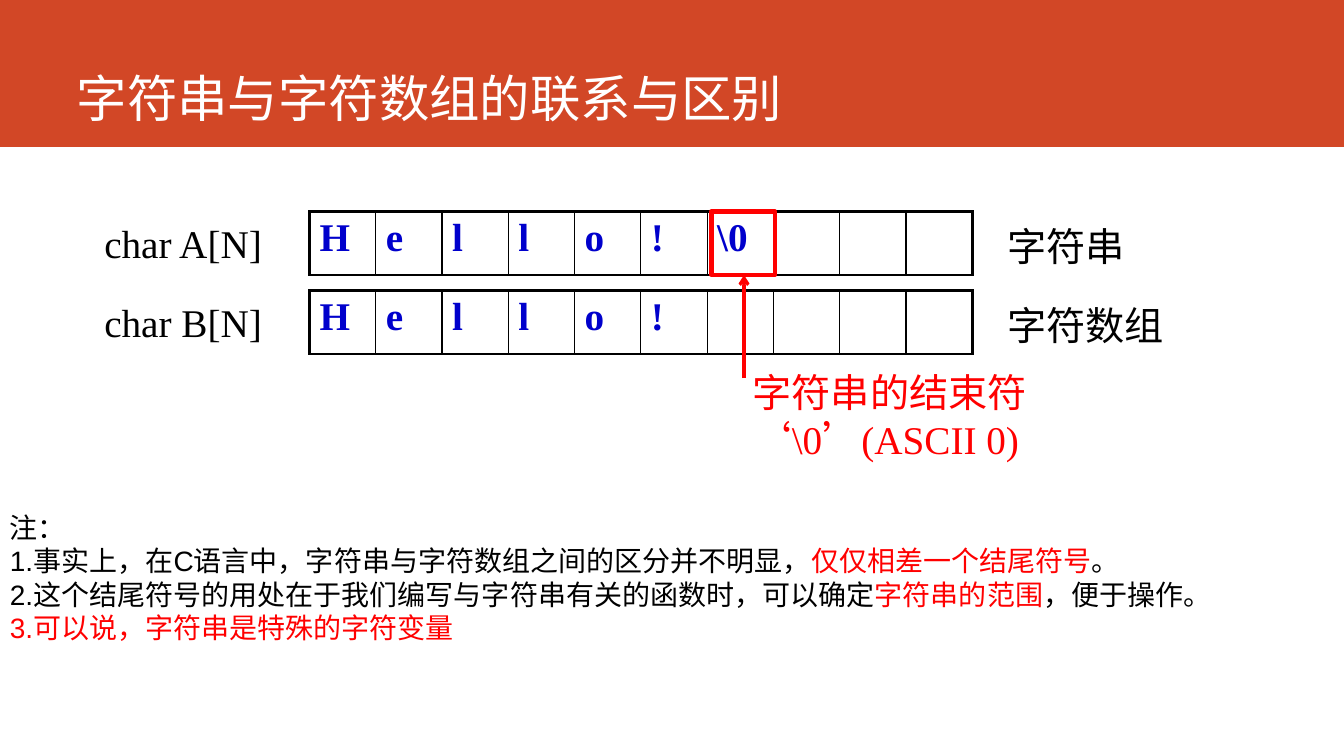
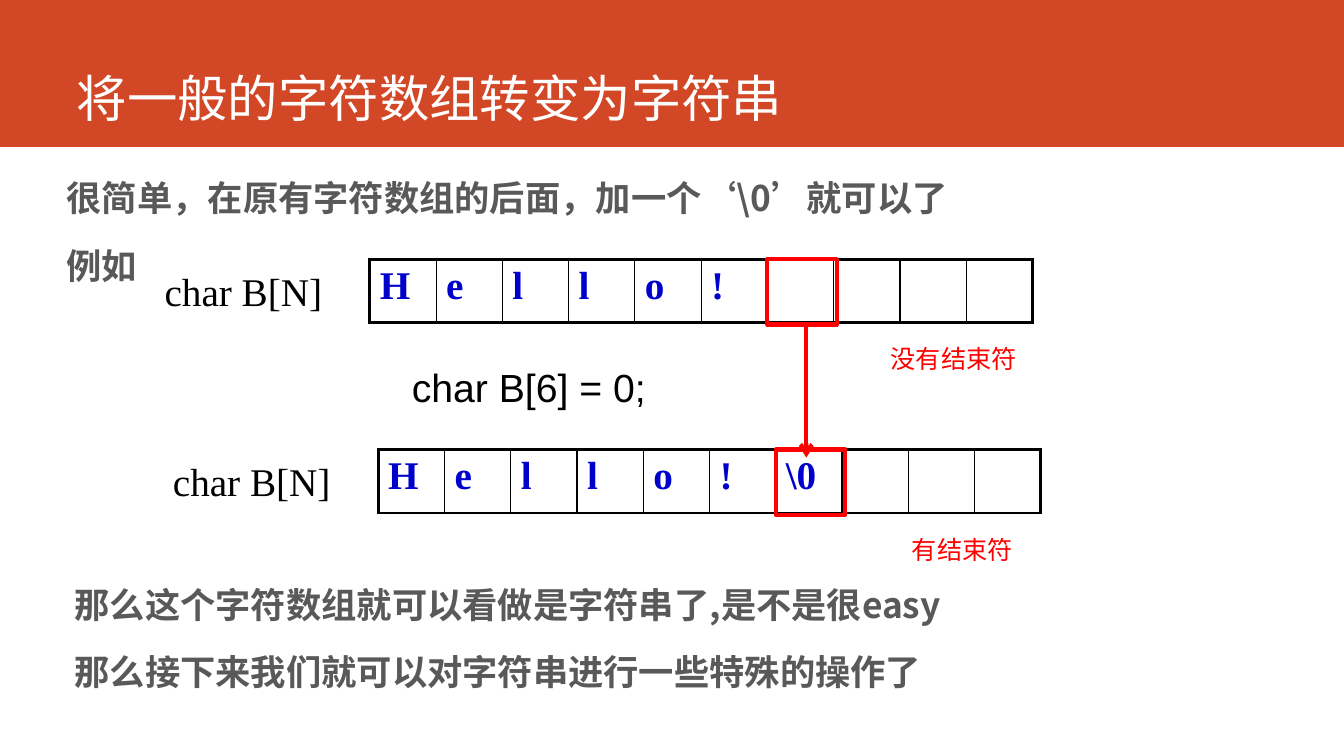
"""Build two slides on strings and character arrays."""
from dataclasses import dataclass

from lxml import etree
from pptx import Presentation
from pptx.dml.color import RGBColor
from pptx.enum.shapes import MSO_CONNECTOR, MSO_SHAPE
from pptx.enum.text import MSO_ANCHOR, PP_ALIGN
from pptx.oxml.ns import qn
from pptx.util import Cm, Pt

RECTANGLE = MSO_SHAPE.RECTANGLE
STRAIGHT = MSO_CONNECTOR.STRAIGHT
TOP, MIDDLE, BOTTOM = MSO_ANCHOR.TOP, MSO_ANCHOR.MIDDLE, MSO_ANCHOR.BOTTOM
LEFT = PP_ALIGN.LEFT


@dataclass(frozen=True)
class Theme:
    """Colours, fonts, type sizes and line widths of the deck."""

    band: str = "D24726"
    white: str = "FFFFFF"
    black: str = "000000"
    red: str = "FF0000"
    blue: str = "0000CC"
    grey: str = "595959"
    cjk: str = "Noto Sans CJK SC"
    sans: str = "Arial"
    serif: str = "Times New Roman"
    title: float = 36
    label: float = 28
    body: float = 25.2
    note: float = 20
    caption: float = 18
    thin: float = 1
    frame: float = 2.25
    mark: float = 3


THEME = Theme()
SLIDE_WIDTH, SLIDE_HEIGHT = 33.87, 19.05
CELL_COUNT, CELL_WIDTH, CELL_HEIGHT = 10, 1.67, 1.6


def rgb(colour):
    """Turn a hex string into a colour."""
    return RGBColor.from_string(colour)


def write(frame, paragraphs, *, size=THEME.label, font=THEME.serif, colour=THEME.black,
          bold=False, line_spacing=None, before=None, after=None):
    """Fill a text frame with paragraphs, each a list of texts or (text, colour) pairs."""
    for index, parts in enumerate(paragraphs):
        paragraph = frame.paragraphs[0] if index == 0 else frame.add_paragraph()
        paragraph.alignment = LEFT
        paragraph.line_spacing = line_spacing
        paragraph.space_before = before
        paragraph.space_after = after
        for part in parts:
            text, tint = (part, colour) if isinstance(part, str) else part
            for line_index, line in enumerate(text.split("\v")):
                if line_index:
                    paragraph.add_line_break()
                run = paragraph.add_run()
                run.text = line
                run.font.size = Pt(size)
                run.font.name = font
                run.font.bold = bold
                run.font.color.rgb = rgb(tint)
                east_asian = etree.SubElement(run.font._element, qn("a:ea"))
                east_asian.set("typeface", THEME.cjk)


def add_text(slide, left, top, width, height, paragraphs, *, anchor=TOP, inset=None, **style):
    """Add a wrapped text box."""
    frame = slide.shapes.add_textbox(Cm(left), Cm(top), Cm(width), Cm(height)).text_frame
    frame.word_wrap = True
    frame.vertical_anchor = anchor
    if inset is not None:
        frame.margin_left = frame.margin_right = Cm(inset)
        frame.margin_top = frame.margin_bottom = Cm(inset)
    write(frame, paragraphs, **style)


def add_label(slide, left, top, text, *, width=4.72, **style):
    """Add a one-line label centred on its height."""
    add_text(slide, left, top, width, 1.45, [[text]], anchor=MIDDLE, **style)


def add_rectangle(slide, left, top, width, height, *, fill=None, line=None):
    """Add a plain rectangle with an optional fill and outline."""
    rectangle = slide.shapes.add_shape(RECTANGLE, Cm(left), Cm(top), Cm(width), Cm(height))
    rectangle.shadow.inherit = False
    if fill:
        rectangle.fill.solid()
        rectangle.fill.fore_color.rgb = rgb(fill)
    else:
        rectangle.fill.background()
    if line:
        rectangle.line.color.rgb = rgb(line)
        rectangle.line.width = Pt(THEME.mark)
    else:
        rectangle.line.fill.background()
    return rectangle


def add_arrow(slide, x, start, end, width):
    """Add a vertical red arrow."""
    arrow = slide.shapes.add_connector(STRAIGHT, Cm(x), Cm(start), Cm(x), Cm(end))
    arrow.line.color.rgb = rgb(THEME.red)
    arrow.line.width = Pt(width)
    etree.SubElement(arrow.line._get_or_add_ln(), qn("a:tailEnd")).set("type", "arrow")
    etree.SubElement(arrow._element.spPr, qn("a:effectLst"))


def add_border(cell, side, width):
    """Add one solid black border to a cell."""
    border = etree.SubElement(cell._tc.get_or_add_tcPr(), qn(f"a:ln{side}"))
    border.set("w", str(Pt(width)))
    fill = etree.SubElement(border, qn("a:solidFill"))
    etree.SubElement(fill, qn("a:srgbClr")).set("val", THEME.black)


def add_array(slide, left, top, name, letters):
    """Add a named array with one character in each cell."""
    add_label(slide, left - 5.42, top + 0.07, name)
    table = slide.shapes.add_table(1, CELL_COUNT, Cm(left), Cm(top),
                                   Cm(CELL_COUNT * CELL_WIDTH), Cm(CELL_HEIGHT)).table
    table.first_row = table.horz_banding = False
    for column, cell in enumerate(table.rows[0].cells):
        table.columns[column].width = Cm(CELL_WIDTH)
        add_border(cell, "L", THEME.frame if column == 0 else THEME.thin)
        add_border(cell, "R", THEME.frame if column == CELL_COUNT - 1 else THEME.thin)
        add_border(cell, "T", THEME.frame)
        add_border(cell, "B", THEME.frame)
        cell.fill.background()
        if column < len(letters):
            write(cell.text_frame, [[letters[column]]], colour=THEME.blue, bold=True)


def add_titled_slide(deck, layout, title):
    """Add a slide and format its title."""
    slide = deck.slides.add_slide(layout)
    heading = slide.shapes.title
    heading.left, heading.top, heading.width, heading.height = Cm(1.68), Cm(0), Cm(29.87), Cm(3.35)
    heading.text_frame.vertical_anchor = BOTTOM
    write(heading.text_frame, [[title]], size=THEME.title, font=THEME.cjk, colour=THEME.white)
    return slide


def move_to_layout(shape, layout):
    """Place a shape behind everything on the layout."""
    layout.shapes._spTree.insert(2, shape._element)


def build_comparison(slide):
    """Compare a string with a character array."""
    array_left, string_top, array_top = 7.8, 5.33, 7.32
    hello = list("Hello!")
    add_array(slide, array_left, string_top, "char A[N]", hello + ["\\0"])
    add_array(slide, array_left, array_top, "char B[N]", hello)
    add_label(slide, 25.13, string_top + 0.14, "字符串")
    add_label(slide, 25.13, array_top + 0.14, "字符数组")
    add_rectangle(slide, 17.93, string_top, 1.6, 1.6, line=THEME.red)
    add_arrow(slide, 18.75, 9.53, 6.93, THEME.frame)
    add_label(slide, 18.72, 9.73, "字符串的结束符\v‘\\0’(ASCII 0)", width=13.31, colour=THEME.red)
    add_text(slide, 0, 12.73, SLIDE_WIDTH, 3.68, [
        ["注："],
        ["1.事实上，在C语言中，字符串与字符数组之间的区分并不明显，",
         ("仅仅相差一个结尾符号", THEME.red), "。"],
        ["2.这个结尾符号的用处在于我们编写与字符串有关的函数时，可以确定",
         ("字符串的范围", THEME.red), "，便于操作。"],
        [("3.可以说，字符串是特殊的字符变量", THEME.red)],
    ], size=THEME.note, font=THEME.sans)


def build_conversion(slide):
    """Show how a terminator turns an array into a string."""
    body = dict(inset=0, size=THEME.body, font=THEME.cjk, colour=THEME.grey, bold=True,
                line_spacing=1.1, before=Pt(5), after=Pt(10))
    add_text(slide, 1.68, 4.34, 31, 3.4,
             [["很简单，在原有字符数组的后面，加一个‘\\0’就可以了"], ["例如"]], **body)
    add_text(slide, 1.88, 14.58, 31, 3.4,
             [["那么这个字符数组就可以看做是字符串了,是不是很easy"],
              ["那么接下来我们就可以对字符串进行一些特殊的操作了"]], **body)
    hello = list("Hello!")
    stages = [
        (9.32, 6.53, hello, "没有结束符", 22.2),
        (9.53, 11.33, hello + ["\\0"], "有结束符", 22.73),
    ]
    for left, top, letters, caption, caption_left in stages:
        add_array(slide, left, top, "char B[N]", letters)
        add_rectangle(slide, left + len(hello) * CELL_WIDTH, top, 1.75, 1.65, line=THEME.red)
        add_text(slide, caption_left, top + 2, 4.04, 1.02, [[caption]],
                 size=THEME.caption, font=THEME.sans, colour=THEME.red)
    add_text(slide, 10.13, 9.02, 10.24, 1.45, [["char B[6] = 0;"]], font=THEME.sans)
    add_arrow(slide, 20.32, 8.2, 11.53, THEME.mark)


def main():
    """Build and save the deck."""
    deck = Presentation()
    deck.slide_width, deck.slide_height = Cm(SLIDE_WIDTH), Cm(SLIDE_HEIGHT)
    layout = deck.slide_layouts[5]
    comparison = add_titled_slide(deck, layout, "字符串与字符数组的联系与区别")
    band = add_rectangle(comparison, 0, 0, SLIDE_WIDTH, 3.7, fill=THEME.band)
    move_to_layout(band, layout)
    build_comparison(comparison)
    build_conversion(add_titled_slide(deck, layout, "将一般的字符数组转变为字符串"))
    deck.save("out.pptx")


if __name__ == "__main__":
    main()
